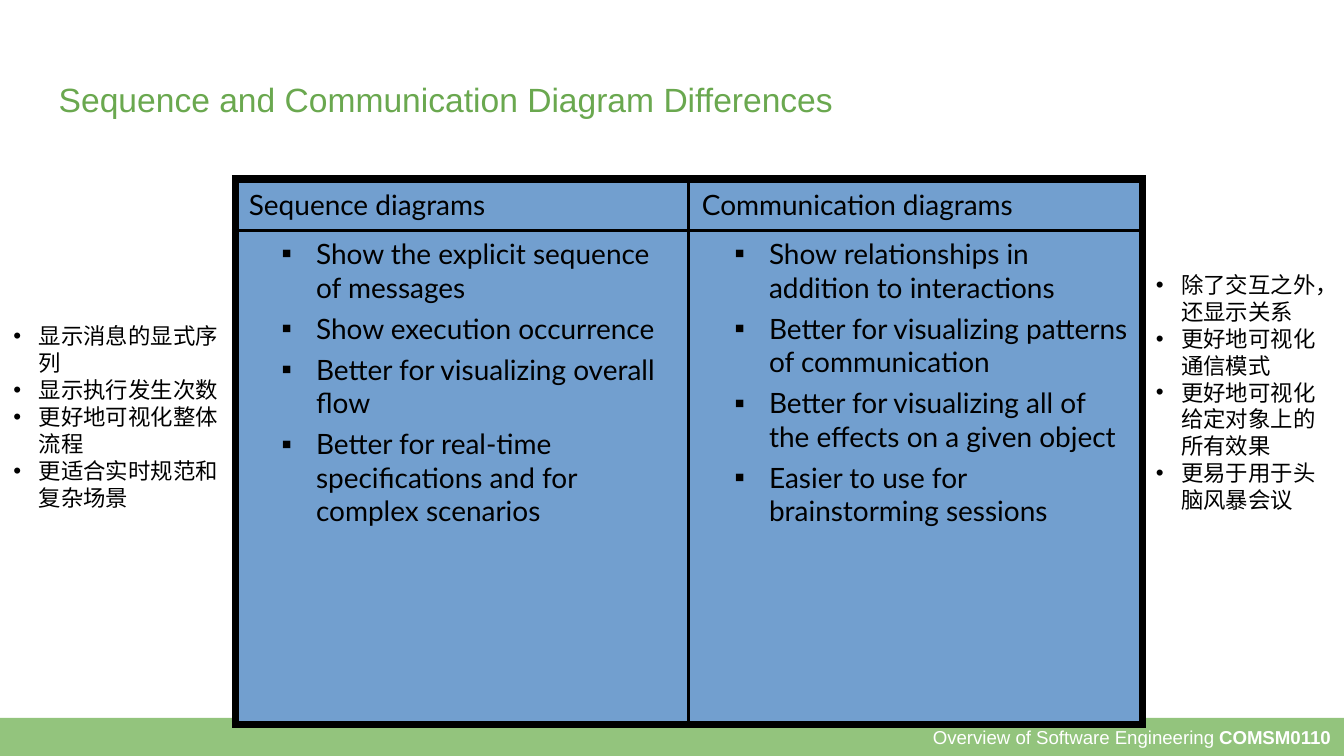
"""Build a slide that compares sequence and communication diagrams."""
from dataclasses import dataclass

from lxml import etree
from pptx import Presentation
from pptx import util as u
from pptx.dml import color
from pptx.enum import shapes, text
from pptx.oxml import ns

Cm, Pt = u.Cm, u.Pt
BLACK, WHITE, BLUE = "000000", "FFFFFF", "729FCF"
GREEN, LEAF = "93C47D", "6AA84F"
THICK, THIN = 4.48, 1.98


@dataclass
class Box:
    left: float
    top: float
    width: float
    height: float

    def spot(self) -> tuple:
        return Cm(self.left), Cm(self.top), Cm(self.width), Cm(self.height)


@dataclass
class Bullet:
    char: str
    scale: int
    left: float
    hang: float


@dataclass
class Column:
    head: str
    items: list[str]
    width: float


@dataclass
class Note:
    box: Box
    items: list[str]


SQUARE = Bullet("■", 55, 1.27, 0.64)
ROUND = Bullet("•", 100, 0.48, 0.48)

COLUMNS = [
    Column("Sequence diagrams", [
        "Show the explicit sequence of messages",
        "Show execution occurrence",
        "Better for visualizing overall flow",
        "Better for real-time specifications and for complex scenarios",
    ], 8.56),
    Column("Communication diagrams", [
        "Show relationships in addition to interactions",
        "Better for visualizing patterns of communication",
        "Better for visualizing all of the effects on a given object",
        "Easier to use for brainstorming sessions",
    ], 8.58),
]
ROWS = [0.97, 9.35]
NOTES = [
    Note(Box(0, 5.97, 4.62, 4.37), [
        "显示消息的显式序列",
        "显示执行发生次数",
        "更好地可视化整体流程",
        "更适合实时规范和复杂场景",
    ]),
    Note(Box(21.59, 5, 3.81, 5.38), [
        "除了交互之外，还显示关系",
        "更好地可视化通信模式",
        "更好地可视化给定对象上的所有效果",
        "更易于用于头脑风暴会议",
    ]),
]


def rgb(code: str) -> color.RGBColor:
    return color.RGBColor.from_string(code)


def add(node, tag: str, **attrs: str):
    return etree.SubElement(node, ns.qn(tag), attrs)


def style(font, face: str, size: float, code: str) -> None:
    font.name, font.size = face, Pt(size)
    font.color.rgb = rgb(code)


def place(shape, box: Box) -> None:
    shape.left, shape.top, shape.width, shape.height = box.spot()


def mark(para, dot: Bullet) -> None:
    props = para._p.get_or_add_pPr()
    props.set("marL", str(Cm(dot.left)))
    props.set("indent", str(-Cm(dot.hang)))
    add(add(props, "a:buClr"), "a:srgbClr", val=BLACK)
    add(props, "a:buSzPct", val=str(dot.scale * 1000))
    add(props, "a:buFont", typeface="Arial")
    add(props, "a:buChar", char=dot.char)


def fill_list(frame, items: list[str], dot: Bullet | None) -> list:
    frame.text = "\n".join(items)
    for para in frame.paragraphs:
        if dot:
            mark(para, dot)
    return list(frame.paragraphs)


def draw_bar(slide, box: Box):
    bar = slide.shapes.add_shape(shapes.MSO_SHAPE.RECTANGLE, *box.spot())
    bar.shadow.inherit = False
    bar.fill.solid()
    bar.fill.fore_color.rgb = rgb(GREEN)
    bar.line.fill.background()
    return bar


def draw_footer(slide) -> None:
    frame = draw_bar(slide, Box(11.02, 13.57, 14.38, 0.72)).text_frame
    frame.margin_left = frame.margin_right = Cm(0.25)
    frame.margin_top = frame.margin_bottom = Cm(0)
    frame.vertical_anchor = text.MSO_ANCHOR.MIDDLE
    para = frame.paragraphs[0]
    para.alignment = text.PP_ALIGN.RIGHT
    for words, bold in (("Overview of Software Engineering ", False), ("COMSM0110", True)):
        run = para.add_run()
        run.text = words
        style(run.font, "Arial", 10, WHITE)
        run.font.bold = bold
    draw_bar(slide, Box(0, 13.57, 12.14, 0.72))


def draw_title(slide, words: str) -> None:
    title = slide.shapes.title
    place(title, Box(0.86, 1.24, 23.67, 1.6))
    frame = title.text_frame
    frame.text = words
    frame.auto_size = text.MSO_AUTO_SIZE.NONE
    frame.vertical_anchor = text.MSO_ANCHOR.TOP
    frame.margin_left = frame.margin_right = Cm(0.25)
    frame.margin_top = frame.margin_bottom = Cm(0.25)
    para = frame.paragraphs[0]
    para.alignment = text.PP_ALIGN.LEFT
    style(para.font, "Arial", 18, LEAF)


def draw_cell(cell, items: list[str], row: int, col: int) -> None:
    for para in fill_list(cell.text_frame, items, SQUARE if row else None):
        para.level = row
        para.space_before = Pt(4)
        style(para.font, "Lato", 15, BLACK)
    cell.vertical_anchor = text.MSO_ANCHOR.TOP if row else text.MSO_ANCHOR.MIDDLE
    outer = {"L": col == 0, "R": col == 1, "T": row == 0, "B": row == 1}
    props = cell._tc.get_or_add_tcPr()
    for side, edge in outer.items():
        line = add(props, f"a:ln{side}", w=str(Pt(THICK if edge else THIN)))
        add(add(line, "a:solidFill"), "a:srgbClr", val=BLACK)
    cell.fill.solid()
    cell.fill.fore_color.rgb = rgb(BLUE)


def draw_table(slide) -> None:
    box = Box(4.45, 3.38, sum(c.width for c in COLUMNS), sum(ROWS))
    table = slide.shapes.add_table(len(ROWS), len(COLUMNS), *box.spot()).table
    table.first_row = table.horz_banding = False
    for row, height in enumerate(ROWS):
        table.rows[row].height = Cm(height)
    for col, data in enumerate(COLUMNS):
        table.columns[col].width = Cm(data.width)
        for row, items in enumerate(([data.head], data.items)):
            draw_cell(table.cell(row, col), items, row, col)


def draw_note(holder, note: Note) -> None:
    place(holder, note.box)
    holder.text_frame.auto_size = text.MSO_AUTO_SIZE.NONE
    for para in fill_list(holder.text_frame, note.items, ROUND):
        para.space_before = Pt(0)
        para.line_spacing = Pt(14.4)
        style(para.font, "Noto Sans CJK SC", 12, BLACK)
        add(para.font._element, "a:ea", typeface="Noto Sans CJK SC")


def main() -> None:
    deck = Presentation()
    deck.slide_width, deck.slide_height = Cm(25.4), Cm(14.29)
    slide = deck.slides.add_slide(deck.slide_layouts[3])
    draw_footer(slide)
    draw_title(slide, "Sequence and Communication Diagram Differences")
    draw_table(slide)
    for spot, note in enumerate(NOTES, 1):
        draw_note(slide.placeholders[spot], note)
    deck.save("out.pptx")


if __name__ == "__main__":
    main()
